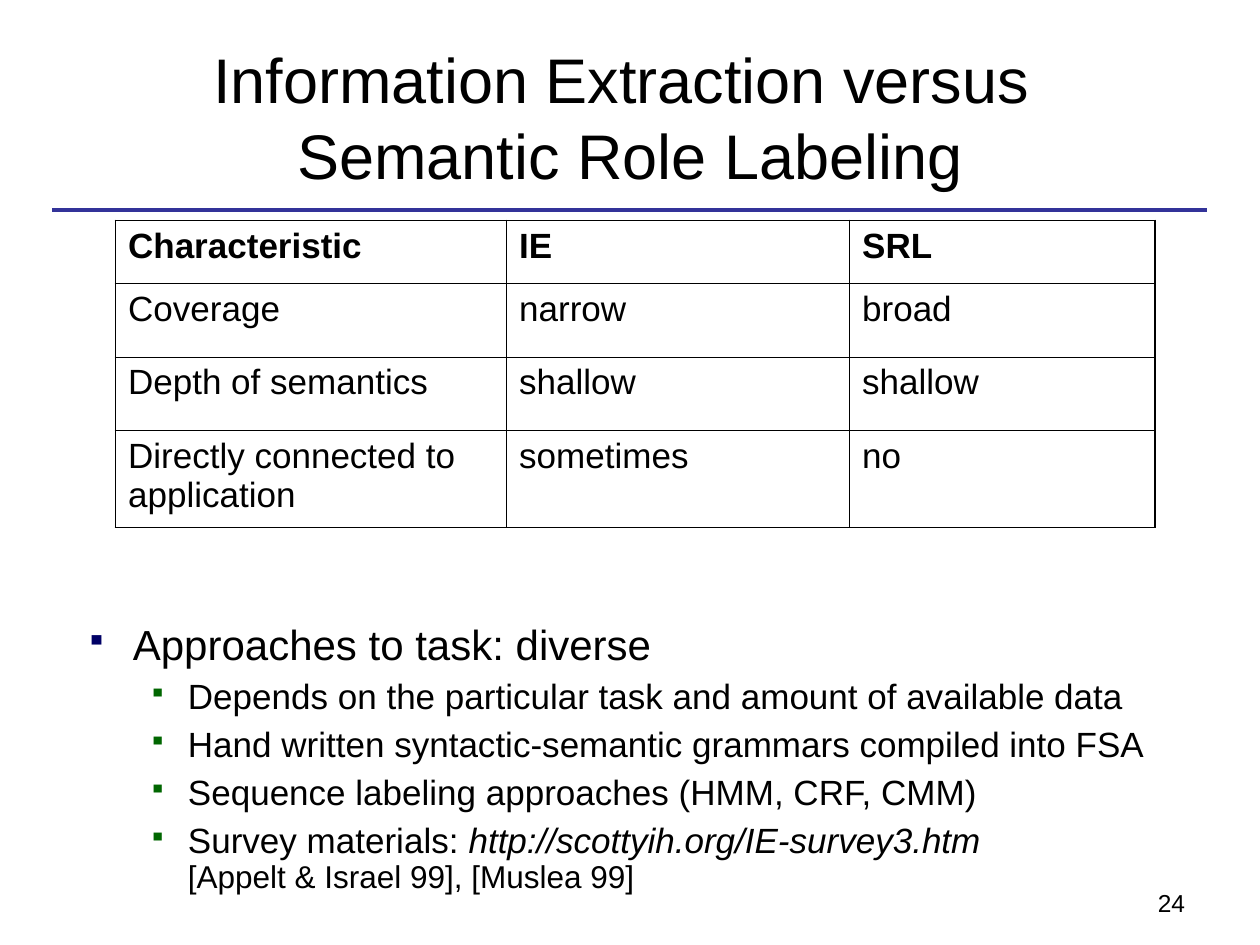
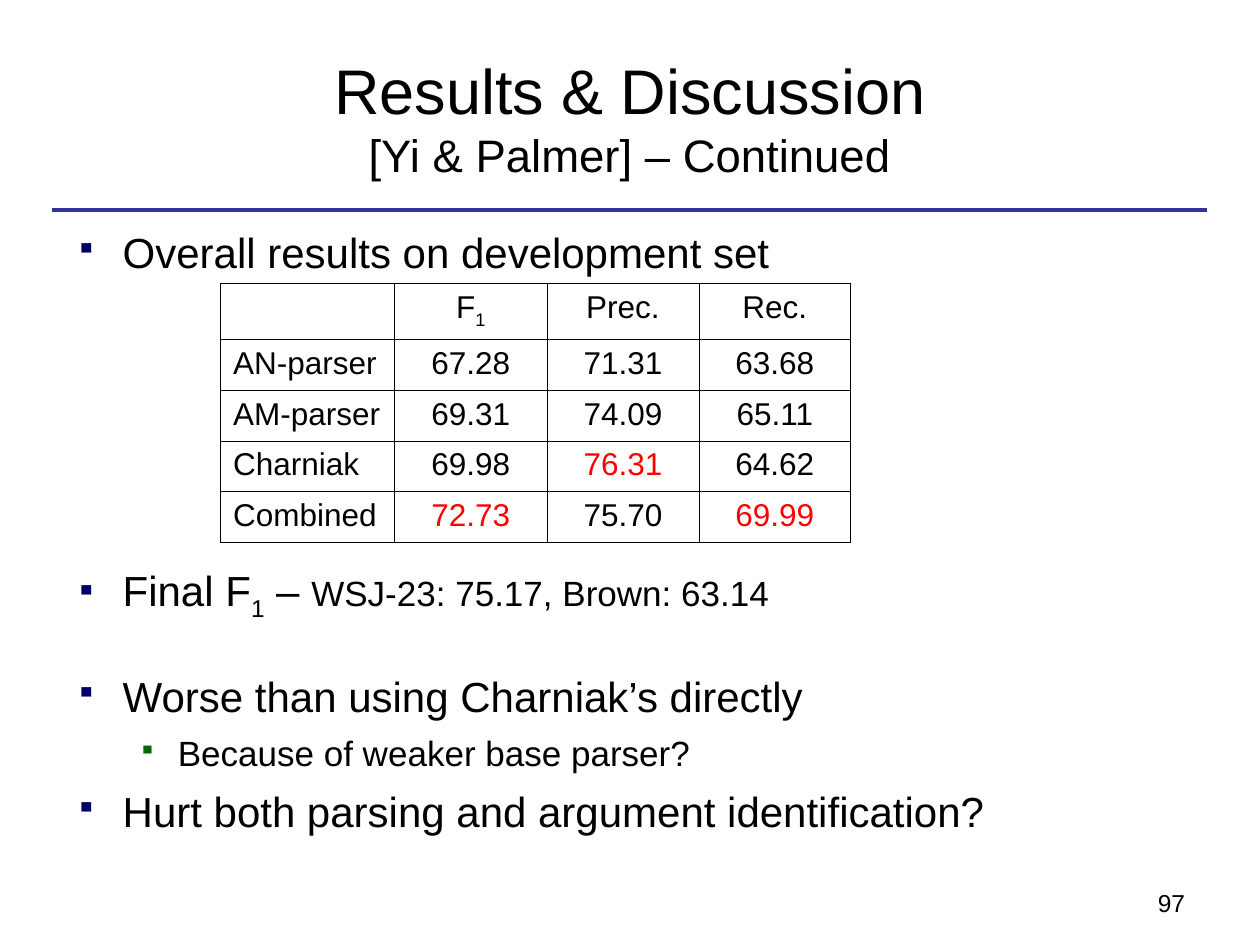
from lxml import etree
from pptx import Presentation
from pptx.dml.color import RGBColor
from pptx.enum.shapes import MSO_CONNECTOR
from pptx.enum.text import MSO_ANCHOR, PP_ALIGN
from pptx.oxml.ns import qn
from pptx.util import Pt

STRAIGHT = MSO_CONNECTOR.STRAIGHT
MIDDLE, TOP = MSO_ANCHOR.MIDDLE, MSO_ANCHOR.TOP
LEFT, CENTER = PP_ALIGN.LEFT, PP_ALIGN.CENTER

BLACK, RED, RULE_BLUE = "000000", "FF0000", "333399"
THICK, THIN = 1.08, 0.45
LEVELS = [
    {"margin": 27, "hang": 27, "size": 24, "before": 6.9, "bullet": "000066"},
    {"margin": 58.5, "hang": 22.5, "size": 20, "before": 5.8, "bullet": "006600"},
]


def color(hex_string):
    return RGBColor.from_string(hex_string)


def add_child(parent, tag, **attributes):
    return etree.SubElement(parent, qn(tag), attributes)


class Deck:
    font = "Arial"

    def __init__(self):
        self.presentation = Presentation()
        self.presentation.slide_width = Pt(720)
        self.presentation.slide_height = Pt(540)
        self.slide = None

    def start_slide(self, title, number):
        self.slide = self.presentation.slides.add_slide(self.presentation.slide_layouts[6])
        self.rule(30, 120, 690)
        page = self.text_box(654.5, 504, 78.5, 24.5, wrap=False)
        self.add_runs(page.paragraphs[0], [number], 14)
        heading = self.text_box(36, 21.6, 648, 90, anchor=MIDDLE)
        heading.paragraphs[0].alignment = CENTER
        self.add_runs(heading.paragraphs[0], title, 36)

    def rule(self, left, y, right):
        rule = self.slide.shapes.add_connector(STRAIGHT, Pt(left), Pt(y), Pt(right), Pt(y))
        rule.line.color.rgb = color(RULE_BLUE)
        rule.line.width = Pt(1.75)
        add_child(rule._element.spPr, "a:effectLst")

    def text_box(self, left, top, width, height, anchor=TOP, wrap=True):
        box = self.slide.shapes.add_textbox(Pt(left), Pt(top), Pt(width), Pt(height))
        frame = box.text_frame
        frame.word_wrap = wrap
        frame.vertical_anchor = anchor
        return frame

    def add_runs(self, paragraph, pieces, size, bold=False, ink=BLACK):
        for piece in pieces:
            text, style = (piece, {}) if isinstance(piece, str) else piece
            if text == "\v":
                paragraph.add_line_break()
                continue
            run = paragraph.add_run()
            run.text = text
            run.font.name = self.font
            run.font.size = Pt(style.get("size", size))
            run.font.bold = bold
            run.font.italic = style.get("italic", False)
            run.font.color.rgb = color(ink)
            if style.get("subscript"):
                run._r.get_or_add_rPr().set("baseline", "-25000")

    def bullets(self, left, top, width, height, items, line_spacing=1.0):
        frame = self.text_box(left, top, width, height)
        for index, (level, pieces, *gap) in enumerate(items):
            style = LEVELS[level]
            paragraph = frame.add_paragraph() if index else frame.paragraphs[0]
            properties = paragraph._p.get_or_add_pPr()
            properties.set("marL", str(Pt(style["margin"])))
            properties.set("indent", str(-Pt(style["hang"])))
            bullet_color = add_child(properties, "a:buClr")
            add_child(bullet_color, "a:srgbClr", val=style["bullet"])
            add_child(properties, "a:buSzPct", val="70000")
            add_child(properties, "a:buChar", char="▪")
            paragraph.level = level
            paragraph.line_spacing = line_spacing
            if index:
                paragraph.space_before = Pt(gap[0] if gap else style["before"])
            self.add_runs(paragraph, pieces, style["size"])

    def table(self, left, top, widths, heights, rows, size, bold_header=False,
              centered=False, highlights=(), thick_header=False):
        grid = self.slide.shapes.add_table(
            len(rows), len(widths), Pt(left), Pt(top), Pt(sum(widths)), Pt(sum(heights))
        ).table
        for column, width in zip(grid.columns, widths):
            column.width = Pt(width)
        for row, height in zip(grid.rows, heights):
            row.height = Pt(height)
        thick_rows = {0, len(rows)} | ({1} if thick_header else set())
        thick_columns = {0, len(widths)} | ({1} if thick_header else set())
        for r, values in enumerate(rows):
            for c, value in enumerate(values):
                cell = grid.cell(r, c)
                cell.fill.background()
                self.borders(cell, (c in thick_columns, c + 1 in thick_columns,
                                    r in thick_rows, r + 1 in thick_rows))
                paragraph = cell.text_frame.paragraphs[0]
                paragraph.alignment = CENTER if centered and c else LEFT
                pieces = [value] if isinstance(value, str) else value
                ink = RED if value in highlights else BLACK
                if value:
                    self.add_runs(paragraph, pieces, size, bold_header and r == 0, ink)

    def borders(self, cell, thick_sides):
        properties = cell._tc.get_or_add_tcPr()
        for index, (side, thick) in enumerate(zip("LRTB", thick_sides)):
            line = etree.Element(qn(f"a:ln{side}"), w=str(Pt(THICK if thick else THIN)))
            add_child(add_child(line, "a:solidFill"), "a:srgbClr", val=BLACK)
            properties.insert(index, line)


def extraction_versus_labeling(deck):
    deck.start_slide(["Information Extraction versus ", "\v", "Semantic Role Labeling"], "24")
    deck.bullets(41.8, 353, 653.8, 163, [
        (0, ["Approaches to task: diverse"]),
        (1, ["Depends on the particular task and amount of available data"]),
        (1, ["Hand written syntactic-semantic grammars compiled into FSA"]),
        (1, ["Sequence labeling approaches (HMM, CRF, CMM)"]),
        (1, ["Survey materials: ",
             ("http://scottyih.org/IE-survey3.htm", {"italic": True}),
             "\v",
             ("[Appelt & Israel 99], [Muslea 99]", {"size": 18})]),
    ], line_spacing=0.9)
    deck.table(66, 126, [223.5, 196, 174.5], [36, 42, 42, 55.5], [
        ["Characteristic", "IE", "SRL"],
        ["Coverage", "narrow", "broad"],
        ["Depth of semantics", "shallow", "shallow"],
        ["Directly connected to application", "sometimes", "no"],
    ], 20, bold_header=True)


def results_and_discussion(deck):
    subscript_one = ("1", {"subscript": True})
    deck.start_slide(
        ["Results & Discussion", "\v", ("[Yi & Palmer] – Continued", {"size": 26})], "97")
    deck.bullets(36, 126, 653.8, 36, [(0, ["Overall results on development set"])])
    deck.table(126, 162, [99.5, 87, 87, 86.5], [32] + [29] * 4, [
        ["", ["F", subscript_one], "Prec.", "Rec."],
        ["AN-parser", "67.28", "71.31", "63.68"],
        ["AM-parser", "69.31", "74.09", "65.11"],
        ["Charniak", "69.98", "76.31", "64.62"],
        ["Combined", "72.73", "75.70", "69.99"],
    ], 18, centered=True, highlights=("76.31", "72.73", "69.99"), thick_header=True)
    deck.bullets(36, 319, 653.8, 167, [
        (0, ["Final F", subscript_one, " – ", ("WSJ-23: 75.17, Brown: 63.14", {"size": 20})]),
        (0, ["Worse than using Charniak’s directly"], 28),
        (1, ["Because of weaker base parser?"]),
        (0, ["Hurt both parsing and argument identification?"]),
    ])


def main():
    deck = Deck()
    extraction_versus_labeling(deck)
    results_and_discussion(deck)
    deck.presentation.save("out.pptx")


if __name__ == "__main__":
    main()
